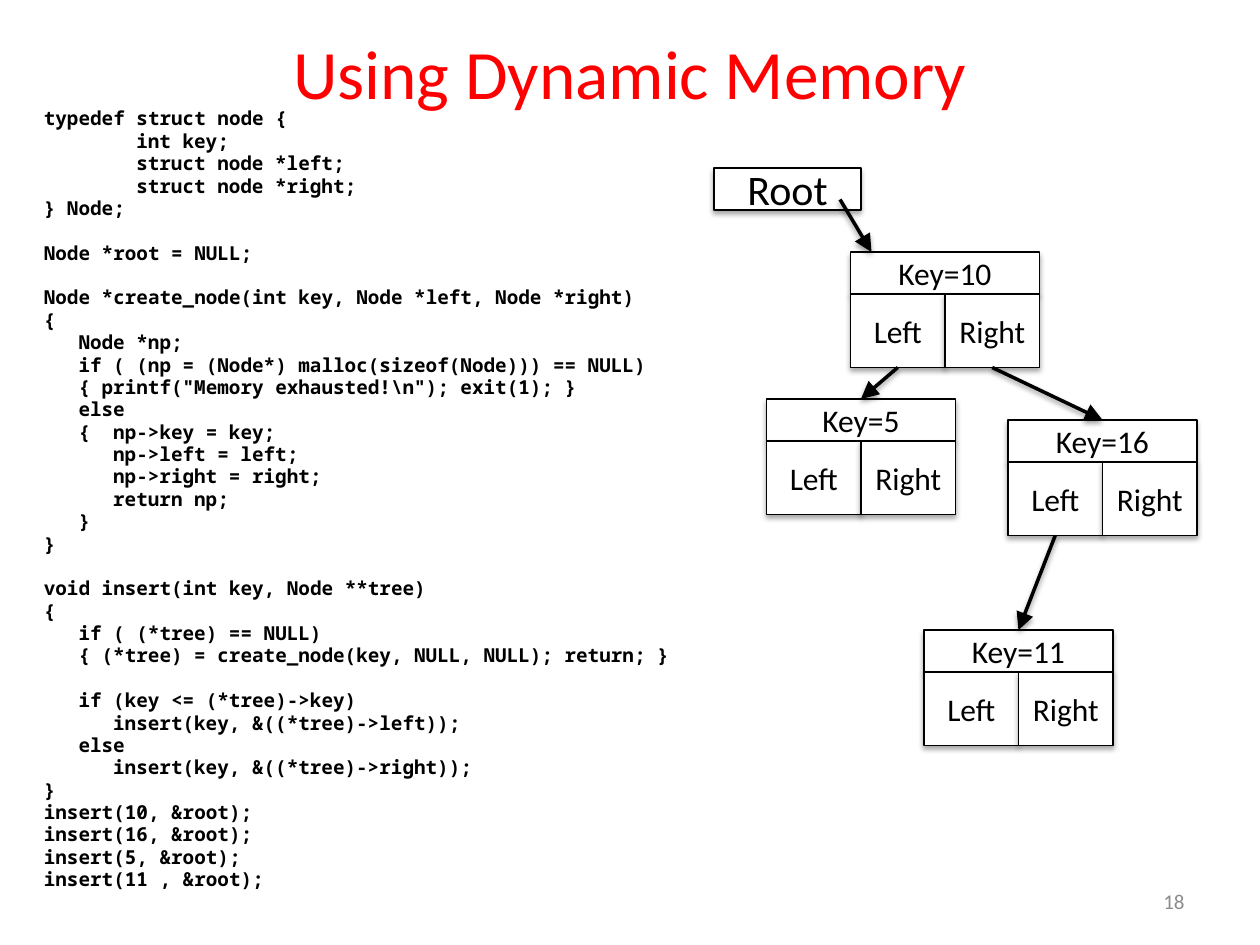
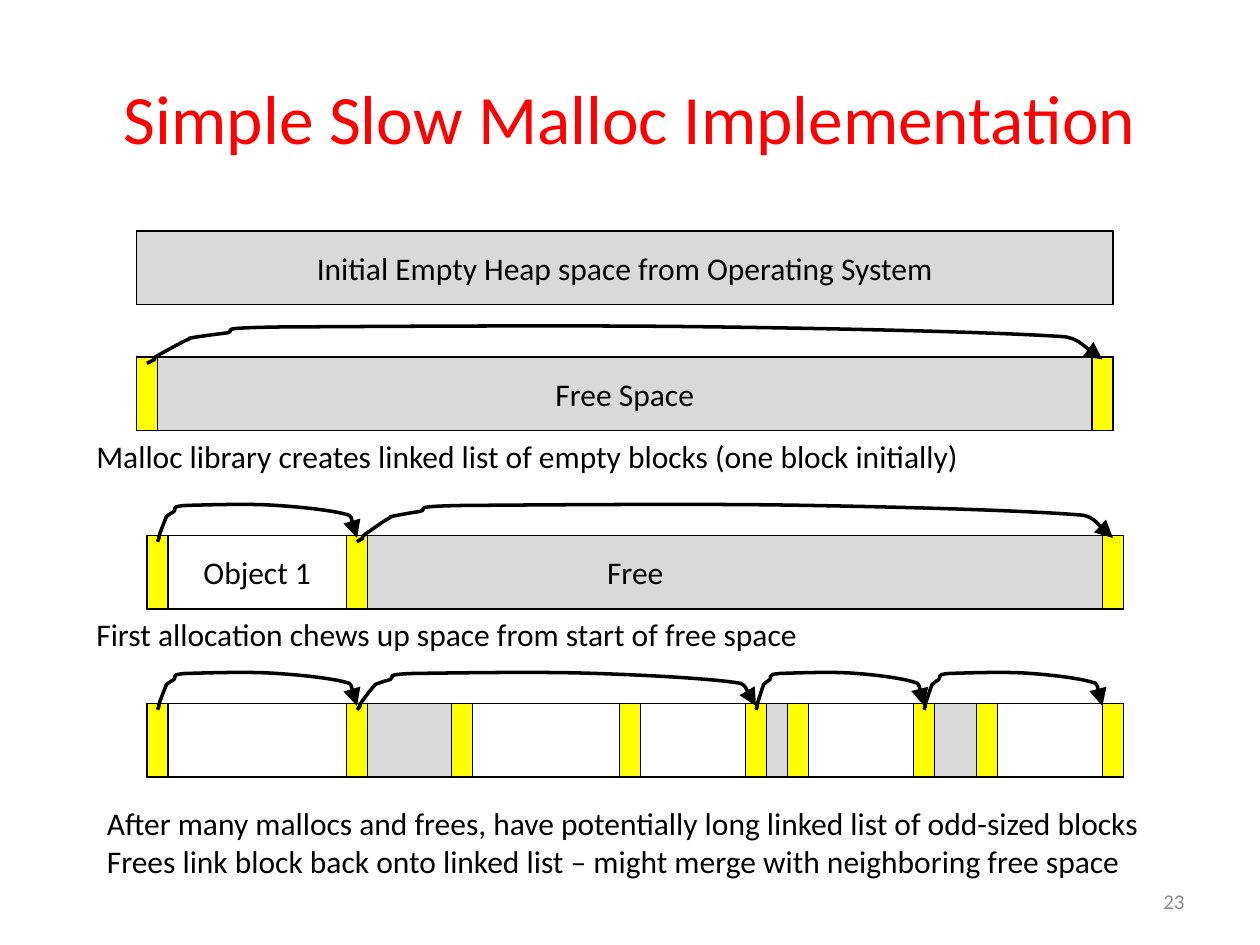
from lxml.etree import SubElement
from pptx import Presentation
from pptx.dml.color import RGBColor
from pptx.enum.shapes import MSO_CONNECTOR, MSO_SHAPE
from pptx.enum.text import MSO_ANCHOR, PP_ALIGN
from pptx.oxml.ns import qn
from pptx.util import Inches, Pt

BLACK = RGBColor(0x00, 0x00, 0x00)
WHITE = RGBColor(0xFF, 0xFF, 0xFF)
RED = RGBColor(0xFF, 0x00, 0x00)
GRAY = RGBColor(0xD9, 0xD9, 0xD9)
DIM = RGBColor(0x8C, 0x8C, 0x8C)
YELLOW = RGBColor(0xFF, 0xFF, 0x00)

# Grid of 120 columns by 90 rows, twelve to the inch
COLS, ROWS = 120, 90
CELL = Inches(1) / 12

# Text formats
BODY = {"name": "Calibri", "size": Pt(18), "color": BLACK}
TITLE = {**BODY, "size": Pt(39.6), "color": RED}
PAGE = {**BODY, "size": Pt(12), "color": DIM}
LARGE = {**BODY, "size": Pt(24)}
MONO = {"name": "Noto Sans Mono", "size": Pt(11), "color": BLACK, "bold": True}

# Code lines: width of a letter, space above a line, height of a skipped line
LETTER, ABOVE, SKIP = Pt(6.6), 2.2, 12.8

# Link curve in percent of its frame: a start, then three points per bend
START = (0, 100)
BENDS = [
    (0.3, 97), (0.5, 93), (0.8, 90),
    (0.8, 87), (0.5, 90), (1.1, 80),
    (1.6, 73), (3.7, 43), (4.3, 37),
    (4.9, 30), (4, 37), (4.6, 33),
    (5.3, 30), (6.6, 25), (8.3, 20),
    (9.8, 13), (6.2, 7), (14.1, 4),
    (22.2, 3), (43, -1), (56.6, 3),
    (70.3, 7), (88.8, 17), (96.1, 30),
    (97.5, 37), (99.3, 80), (100, 90),
]

CODE = r"""typedef struct node {
        int key;
        struct node *left;
        struct node *right;
} Node;

Node *root = NULL;

Node *create_node(int key, Node *left, Node *right)
{
   Node *np;
   if ( (np = (Node*) malloc(sizeof(Node))) == NULL)
   { printf("Memory exhausted!\n"); exit(1); }
   else
   {  np->key = key;
      np->left = left;
      np->right = right;
      return np;
   }
}

void insert(int key, Node **tree)
{
   if ( (*tree) == NULL)
   { (*tree) = create_node(key, NULL, NULL); return; }

   if (key <= (*tree)->key)
      insert(key, &((*tree)->left));
   else
      insert(key, &((*tree)->right));
}
insert(10, &root);
insert(16, &root);
insert(5, &root);
insert(11 , &root);"""


def grid(*cells):
    return [round(cell * CELL) for cell in cells]


class Deck:
    def __init__(self):
        self.show = Presentation()
        self.show.slide_width, self.show.slide_height = grid(COLS, ROWS)
        self.slide = None

    def page(self, title, number, height):
        self.slide = self.show.slides.add_slide(self.show.slide_layouts[6])
        middle = MSO_ANCHOR.MIDDLE
        self.text([title], (6, 3.6, 108, height), TITLE, PP_ALIGN.CENTER, middle)
        self.text([number], (86, 83.4, 28, 4.8), PAGE, PP_ALIGN.RIGHT, middle)

    def style(self, para, form, align):
        para.alignment = align
        for name, value in form.items():
            if name == "color":
                para.font.color.rgb = value
            else:
                setattr(para.font, name, value)

    def text(self, lines, area, form=BODY, align=PP_ALIGN.LEFT, anchor=MSO_ANCHOR.TOP):
        frame = self.slide.shapes.add_textbox(*grid(*area)).text_frame
        frame.word_wrap = True
        frame.vertical_anchor = anchor
        for i, line in enumerate(lines):
            para = frame.add_paragraph() if i else frame.paragraphs[0]
            para.text = line
            self.style(para, form, align)
        return frame

    def code(self, source, area):
        lines = source.split("\n")
        kept = [i for i, line in enumerate(lines) if line]
        frame = self.text([lines[i].lstrip() for i in kept], area, MONO)
        for para, i in zip(frame.paragraphs, kept):
            line = lines[i]
            indent = len(line) - len(line.lstrip())
            skipped = i > 0 and not lines[i - 1]
            para.line_spacing = 0.8
            para.space_before = Pt(ABOVE + SKIP * skipped)
            para._p.get_or_add_pPr().set("marL", str(indent * LETTER))

    def shade(self, effects, alpha):
        shadow = SubElement(effects, qn("a:outerShdw"), blurRad=str(Pt(3.1)),
                            dist=str(Pt(1.8)), dir="5400000", rotWithShape="0")
        color = SubElement(shadow, qn("a:srgbClr"), val=str(BLACK))
        SubElement(color, qn("a:alpha"), val=str(alpha * 1000))

    def stroke(self, line, width):
        line.color.rgb = BLACK
        line.width = Pt(width)

    def head(self, shape):
        self.stroke(shape.line, 2)
        SubElement(shape.line._get_or_add_ln(), qn("a:tailEnd"),
                   type="triangle", w="lg", len="lg")

    def box(self, area, fill=WHITE, label="", form=BODY, raised=False):
        shape = self.slide.shapes.add_shape(MSO_SHAPE.RECTANGLE, *grid(*area))
        shape.fill.solid()
        shape.fill.fore_color.rgb = fill
        self.stroke(shape.line, 0.75)
        shape.shadow.inherit = False
        if raised:
            self.shade(shape._element.spPr.find(qn("a:effectLst")), 35)
        if label:
            frame = shape.text_frame
            for side in ("left", "right", "top", "bottom"):
                setattr(frame, "margin_" + side, 0)
            frame.vertical_anchor = MSO_ANCHOR.MIDDLE
            frame.text = label
            self.style(frame.paragraphs[0], form, PP_ALIGN.CENTER)
        return shape

    def node(self, key, x, y):
        """A tree node: its key above a left and a right cell."""
        parts = [(f"Key={key}", (x, y, 18, 4)), ("Left", (x, y + 4, 9, 7)),
                 ("Right", (x + 9, y + 4, 9, 7))]
        return [self.box(area, label=label, raised=True) for label, area in parts]

    def arrow(self, start=(0, 0), end=(0, 0), source=None, target=None):
        line = self.slide.shapes.add_connector(
            MSO_CONNECTOR.STRAIGHT, *grid(*start, *end))
        if source:
            line.begin_connect(source, 2)
        if target:
            line.end_connect(target, 0)
        self.head(line)
        self.shade(SubElement(line._element.spPr, qn("a:effectLst")), 38)

    def link(self, left, right, top):
        """A curved arrow from one block header to the next."""
        def place(point):
            x, y = point
            return grid(left + x / 100 * (right - left), top + y / 100 * 3.6)

        maker = self.slide.shapes.build_freeform(*place(START), scale=1.0)
        maker.add_line_segments([place(point) for point in BENDS], close=False)
        shape = maker.convert_to_shape()
        # Turn each three straight segments into one cubic curve
        sides = list(shape._element.iter(qn("a:lnTo")))
        for i in range(0, len(sides), 3):
            curve = SubElement(sides[i].getparent(), qn("a:cubicBezTo"))
            for side in sides[i:i + 3]:
                curve.append(side[0])
                side.getparent().remove(side)
        shape.fill.background()
        self.head(shape)
        shape.shadow.inherit = False

    def heap(self, left, top, label="", tags=(), used=(), links=()):
        """A heap bar: headers at tags, used blocks after some of them."""
        self.box((left, top, 93, 7), GRAY, label)
        for i, name in used:
            x = tags[i] + 2
            self.box((x, top, tags[i + 1] - x, 7), WHITE, name)
        for x in tags:
            self.box((x, top, 2, 7), YELLOW)
        for start, end in zip(links, links[1:]):
            self.link(start, end, top - 3)


def main():
    deck = Deck()

    # Binary tree in dynamic memory
    deck.page("Using Dynamic Memory", "18", 6.4)
    deck.code(CODE, (3, 10, 65, 73))
    deck.box((68, 16, 14, 4), label="Root", form=LARGE, raised=True)
    ten, five, sixteen, eleven = [deck.node(*spot) for spot in (
        (10, 81, 24), (5, 73, 38), (16, 96, 40), (11, 88, 60))]
    deck.arrow((80, 19), (83, 24))
    for cell, child in ((ten[2], sixteen), (ten[1], five), (sixteen[1], eleven)):
        deck.arrow(source=cell, target=child[0])

    # Heap over time
    deck.page("Simple Slow Malloc Implementation", "23", 15)
    deck.heap(13, 22, "Initial Empty Heap space from Operating System")
    deck.heap(13, 34, "Free Space", tags=(13, 104), links=(14, 105))
    deck.heap(14, 51, "Free", tags=(14, 33, 105), used=[(0, "Object 1")],
              links=(15, 34, 106))
    deck.heap(14, 67, tags=(14, 33, 43, 59, 71, 75, 87, 93, 105),
              used=[(i, "") for i in (0, 2, 3, 5, 7)],
              links=(15, 34, 72, 88, 105))

    # Captions
    for x, y, lines in (
        (8, 41, ["Malloc library creates linked list of empty blocks (one block initially)"]),
        (8, 58, ["First allocation chews up space from start of free space"]),
        (9, 76, ["After many mallocs and frees, have potentially long linked list of odd-sized blocks",
                 "Frees link block back onto linked list – might merge with neighboring free space"]),
    ):
        deck.text(lines, (x, y, 103, 4.8 * len(lines)))

    deck.show.save("out.pptx")


if __name__ == "__main__":
    main()
